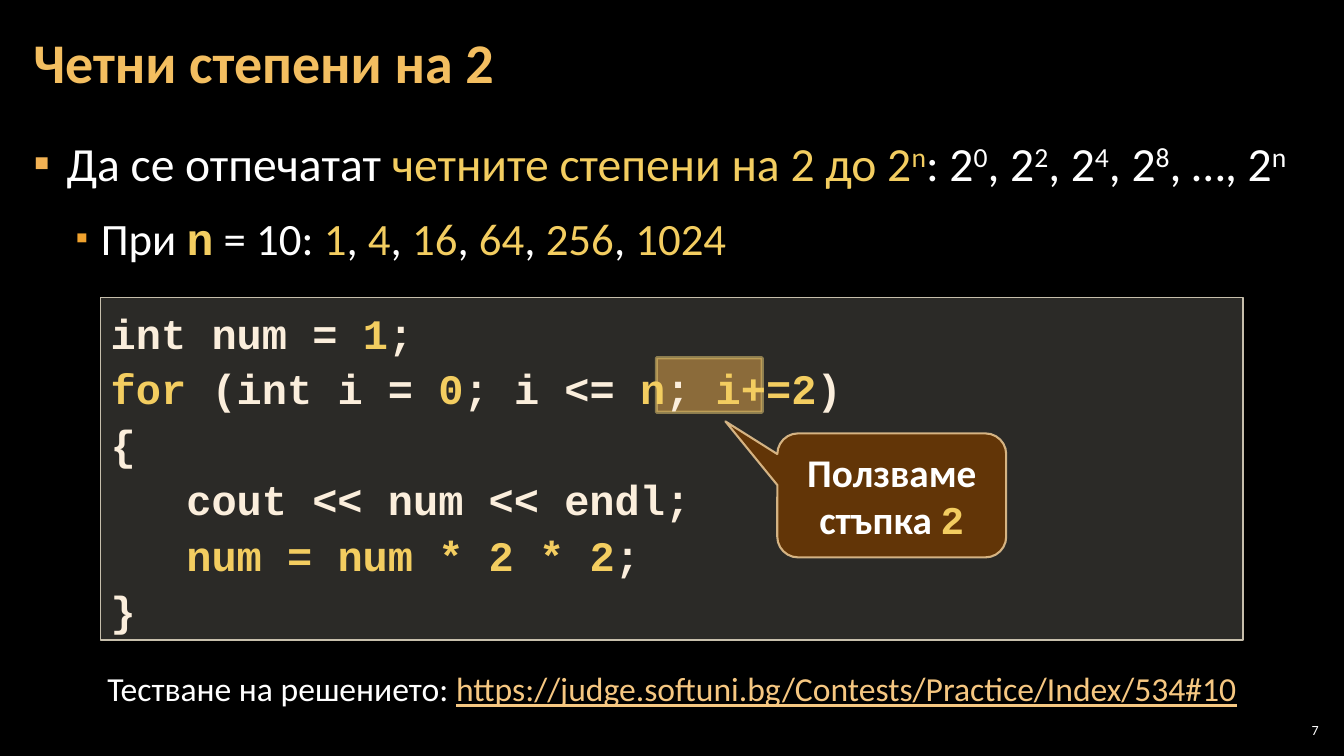
from lxml.etree import SubElement
from pptx import Presentation
from pptx.dml.color import RGBColor
from pptx.enum.shapes import MSO_SHAPE
from pptx.enum.text import MSO_ANCHOR, PP_ALIGN
from pptx.oxml.ns import qn
from pptx.util import Inches, Pt

WHITE, GOLD, CREAM = "FFFFFF", "F3CD60", "FBEEDC"
SANS, MONO = "Calibri", "Courier New"


def paint(color, value):
    color.rgb = RGBColor.from_string(value)


def apply(target, values):
    for key, value in values.items():
        setattr(target, key, value)


class Deck:
    def __init__(self):
        self.prs = Presentation()
        self.prs.slide_width = Inches(13.33)
        self.prs.slide_height = Inches(7.5)
        self.slide = self.prs.slides.add_slide(self.prs.slide_layouts[5])
        back = self.slide.background.fill
        back.solid()
        paint(back.fore_color, "000000")

    def frame(self, shape, anchor=MSO_ANCHOR.TOP, pad=(0.1, 0.05)):
        side, edge = map(Inches, pad)
        apply(shape.text_frame, dict(
            word_wrap=True, vertical_anchor=anchor, margin_left=side,
            margin_right=side, margin_top=edge, margin_bottom=edge))
        return shape.text_frame

    def fade(self, fill, percent):
        color = fill._xPr.find(qn("a:solidFill"))[0]
        SubElement(color, qn("a:alpha"), val=str(percent * 1000))

    def para(self, frame, runs, font, first=False, bullet=None, **form):
        para = frame.paragraphs[0] if first else frame.add_paragraph()
        apply(para, dict(dict(alignment=PP_ALIGN.LEFT), **form))
        if bullet:
            left, hang, color, size = bullet
            props = para._p.get_or_add_pPr()
            props.set("marL", str(Inches(left)))
            props.set("indent", str(Inches(-hang)))
            tint = SubElement(props, qn("a:buClr"))
            SubElement(tint, qn("a:srgbClr"), val=color)
            SubElement(props, qn("a:buSzPct"), val=str(size * 1000))
            SubElement(props, qn("a:buFont"), typeface="Arial")
            SubElement(props, qn("a:buChar"), char="▪")
        for text, color, *more in runs:
            run = para.add_run()
            run.text = text
            extra = dict(more[0]) if more else {}
            lift = extra.pop("lift", 0)
            apply(run.font, dict(font, **extra))
            paint(run.font.color, color)
            if lift:
                run.font._element.set("baseline", str(lift * 1000))

    def title(self, text, box):
        shape = self.slide.shapes.title
        apply(shape, dict(zip(("left", "top", "width", "height"), map(Inches, box))))
        frame = self.frame(shape, MSO_ANCHOR.MIDDLE, (0.12, 0.04))
        font = dict(size=Pt(40), name=SANS, bold=True)
        self.para(frame, [(text, "F3BE60")], font, True, line_spacing=0.9)

    def text(self, box, **form):
        return self.frame(self.slide.shapes.add_textbox(*map(Inches, box)), **form)

    def shape(self, kind, box, fill, line, width, adjust=()):
        shape = self.slide.shapes.add_shape(kind, *map(Inches, box))
        shape.shadow.inherit = False
        for index, value in enumerate(adjust):
            shape.adjustments[index] = value
        shape.line.width = Pt(width)
        for part, (color, alpha) in ((shape.fill, fill), (shape.line.fill, line)):
            part.solid()
            paint(part.fore_color, color)
            self.fade(part, alpha)
        return shape


def powers():
    runs = [("Да се отпечатат ", WHITE), ("четните степени на 2 до 2", GOLD),
            ("n", GOLD, dict(lift=30))]
    for lead, power in zip((": 2", ", 2", ", 2", ", 2", ", …, 2"), "0248n"):
        runs += [(lead, WHITE), (power, WHITE, dict(lift=30))]
    return runs


def values():
    runs = [("При ", WHITE), ("n", GOLD, dict(name=MONO, bold=True))]
    lead = " = 10: "
    for value in (1, 4, 16, 64, 256, 1024):
        runs += [(lead, WHITE), (str(value), GOLD)]
        lead = ", "
    return runs


def main():
    deck = Deck()
    deck.shape(MSO_SHAPE.RECTANGLE, (6.51, 3.55, 1.05, 0.54),
               ("F0A22E", 50), (GOLD, 50), 2.25)

    page = deck.text((12.65, 7.14, 0.47, 0.21), anchor=MSO_ANCHOR.MIDDLE, pad=(0.04, 0.04))
    deck.para(page, [("7", WHITE)], dict(size=Pt(10), name=SANS), True,
              alignment=PP_ALIGN.RIGHT)

    body = deck.text((0.21, 1.26, 12.91, 1.6), pad=(0.12, 0.04))
    space = dict(line_spacing=1.05, space_after=Pt(6))
    deck.para(body, powers(), dict(size=Pt(34), name=SANS), True,
              (0.33, 0.33, "F2B254", 100), **space)
    deck.para(body, values(), dict(size=Pt(32), name=SANS), False,
              (0.67, 0.25, "F0A22E", 80), level=1, space_before=Pt(6), **space)

    deck.title("Четни степени на 2", (0.21, 0.04, 10.47, 1.21))

    code = deck.frame(deck.shape(MSO_SHAPE.RECTANGLE, (1, 2.95, 11.33, 3.4),
                                 ("D9D5C7", 20), ("C7BFAC", 100), 1))
    lines = [
        [("int num = ", CREAM), ("1", GOLD), (";", CREAM)],
        [("for", GOLD), (" (int i = ", CREAM), ("0", GOLD), ("; i <= ", CREAM),
         ("n", GOLD), ("; ", CREAM), ("i+=2", GOLD), (")", CREAM)],
        [("{", CREAM)],
        [("   cout << num << endl;", CREAM)],
        [("   ", CREAM), ("num = num * 2 * 2", GOLD), (";", CREAM)],
        [("}", CREAM)],
    ]
    for index, runs in enumerate(lines):
        deck.para(code, runs, dict(size=Pt(30), name=MONO, bold=True),
                  index == 0, line_spacing=1.1)

    link = deck.text((0.83, 6.58, 11.67, 0.5))
    deck.para(link, [("Тестване на решението: ", WHITE),
                     ("https://judge.softuni.bg/Contests/Practice/Index/534#10",
                      "F6C781", dict(underline=True))],
              dict(size=Pt(24), name=SANS), True, alignment=PP_ALIGN.CENTER)

    note = deck.frame(deck.shape(MSO_SHAPE.ROUNDED_RECTANGULAR_CALLOUT, (7.71, 4.3, 2.27, 1.23),
                                 ("663606", 95), ("F8D49E", 80), 1.5, (-0.727, -0.597, 0.167)),
                      MSO_ANCHOR.MIDDLE)
    deck.para(note, [("Ползваме стъпка ", WHITE), ("2", GOLD, dict(name=MONO))],
              dict(size=Pt(28), name=SANS, bold=True), True, alignment=PP_ALIGN.CENTER)

    deck.prs.save("out.pptx")


if __name__ == "__main__":
    main()
